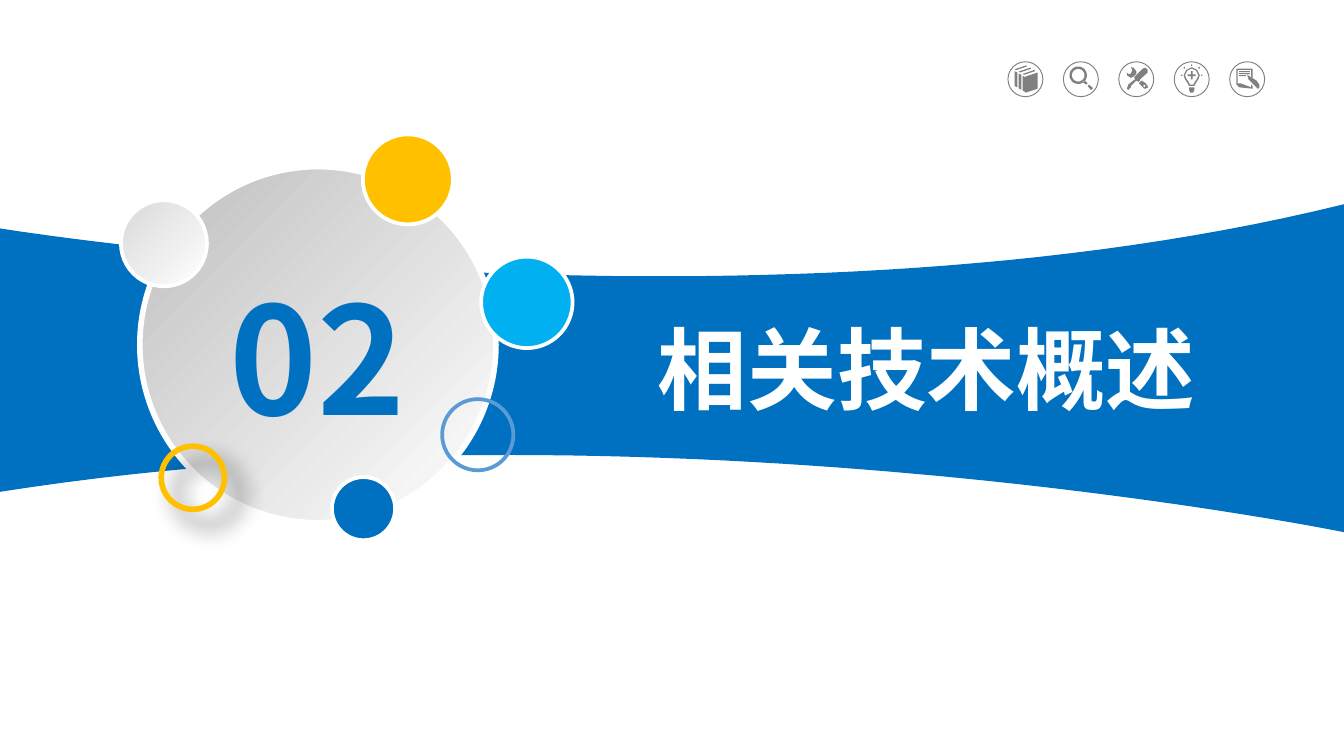
from math import cos, pi, sin

from lxml import etree
from pptx import Presentation
from pptx.dml.color import RGBColor
from pptx.enum import shapes, text
from pptx.oxml import ns
from pptx.util import Inches, Pt

WHITE = RGBColor(0xFF, 0xFF, 0xFF)
BLUE = RGBColor(0x00, 0x70, 0xC0)
CYAN = RGBColor(0x00, 0xB0, 0xF0)
SOFT_BLUE = RGBColor(0x5B, 0x9B, 0xD5)
GOLD = RGBColor(0xFF, 0xC0, 0x00)
SILVER = RGBColor(0xBF, 0xBF, 0xBF)
PALE = RGBColor(0xD9, 0xD9, 0xD9)
GREY = RGBColor(0x80, 0x80, 0x80)
FONT = "Noto Sans CJK SC"


def curve(start, control_1, control_2, end, steps=60):
    """Return points along a cubic curve."""
    points = []
    for step in range(steps + 1):
        t = step / steps
        weights = ((1 - t) ** 3, 3 * t * (1 - t) ** 2, 3 * t * t * (1 - t), t ** 3)
        points.append(tuple(
            sum(w * p[axis] for w, p in zip(weights, (start, control_1, control_2, end)))
            for axis in (0, 1)))
    return points


def circle(x, y, radius, steps=24):
    """Return points around a circle."""
    return [(x + radius * cos(2 * pi * i / steps), y + radius * sin(2 * pi * i / steps))
            for i in range(steps)]


def bar(left, top, right, bottom):
    """Return the corners of an upright rectangle."""
    return [(left, top), (right, top), (right, bottom), (left, bottom)]


def add_outline(slide, contours, left, top, color, unit=1):
    """Fill closed contours, given in units of inches from left and top."""
    paths = [[(Inches(left + x * unit), Inches(top + y * unit)) for x, y in contour]
             for contour in contours]
    builder = slide.shapes.build_freeform(*paths[0][0], scale=1)
    builder.add_line_segments(paths[0][1:])
    for path in paths[1:]:
        builder.move_to(*path[0])
        builder.add_line_segments(path[1:])
    outline = builder.convert_to_shape()
    outline.shadow.inherit = False
    outline.fill.solid()
    outline.fill.fore_color.rgb = color
    outline.line.fill.background()


def add_disc(slide, left, top, size, fill, line, width):
    """Add a circle with no fill, a plain fill or a two-colour gradient."""
    disc = slide.shapes.add_shape(shapes.MSO_SHAPE.OVAL, Inches(left), Inches(top),
                                  Inches(size), Inches(size))
    disc.shadow.inherit = False
    if fill is None:
        disc.fill.background()
    elif isinstance(fill, RGBColor):
        disc.fill.solid()
        disc.fill.fore_color.rgb = fill
    else:
        disc.fill.gradient()
        disc.fill.gradient_angle = 135
        for stop, color in zip(disc.fill.gradient_stops, fill):
            stop.color.rgb = color
    disc.line.color.rgb = line
    disc.line.width = Pt(width)
    return disc


def cast_shadow(disc):
    """Give a circle a soft shadow to the lower right."""
    effects = disc.element.spPr.find(ns.qn("a:effectLst"))
    shadow = etree.SubElement(effects, ns.qn("a:outerShdw"), blurRad=str(Pt(12)),
                              dist=str(Pt(12)), dir="2700000", algn="tl", rotWithShape="0")
    black = etree.SubElement(shadow, ns.qn("a:srgbClr"), val="000000")
    etree.SubElement(black, ns.qn("a:alpha"), val="60000")


def write(frame, words, size, color):
    """Write one bold centred line."""
    frame.vertical_anchor = text.MSO_ANCHOR.MIDDLE
    paragraph = frame.paragraphs[0]
    paragraph.alignment = text.PP_ALIGN.CENTER
    run = paragraph.add_run()
    run.text = words
    run.font.size = Pt(size)
    run.font.bold = True
    run.font.name = FONT
    run.font.color.rgb = color
    etree.SubElement(run.font._element, ns.qn("a:ea"), typeface=FONT)


def add_band(slide, left, top, width):
    """Add the blue band that narrows in the middle."""
    upper = curve((0, 0.18), (0, 0.18), (width * 0.56, 1.09), (width, 0))
    lower = curve((width, 2.44), (width, 2.44), (width * 0.48, 1.38), (0, 2.14))
    add_outline(slide, [upper + lower], left, top, BLUE)


def add_number_badge(slide, left, top, number):
    """Add the big disc with its small circles and the section number."""
    add_disc(slide, left + 0.14, top + 0.24, 2.65, (WHITE, SILVER), WHITE, 3)
    add_disc(slide, left + 1.8, top, 0.67, GOLD, WHITE, 2)
    add_disc(slide, left + 2.68, top + 0.91, 0.68, CYAN, WHITE, 2)
    add_disc(slide, left + 2.39, top + 1.97, 0.53, None, SOFT_BLUE, 2)
    cast_shadow(add_disc(slide, left + 0.3, top + 2.32, 0.47, None, GOLD, 3))
    add_disc(slide, left + 1.57, top + 2.55, 0.47, BLUE, WHITE, 2)
    add_disc(slide, left, top + 0.49, 0.64, (WHITE, PALE), WHITE, 2)
    box = slide.shapes.add_textbox(Inches(left + 0.67), Inches(top + 0.92),
                                   Inches(1.59), Inches(1.45))
    box.text_frame.word_wrap = False
    write(box.text_frame, number, 80, BLUE)


def add_title(slide, left, top, width, height, words):
    """Place the title in front of the band."""
    title = slide.shapes.title
    title.left, title.top = Inches(left), Inches(top)
    title.width, title.height = Inches(width), Inches(height)
    title.text_frame.word_wrap = True
    write(title.text_frame, words, 48, WHITE)
    title.element.getparent().append(title.element)


def add_icons(slide, left, top, width, size):
    """Spread the ringed icons evenly over the width."""
    books = [[(13, 11), (22, 8), (22, 20), (13, 23)]]
    for i in range(3):
        x, y = 5 + 3 * i, 5.5 + 1.75 * i
        books.append([(x, y), (x + 9, y - 3), (x + 9, y - 2), (x + 1, y + 0.7)])
        books.append([(x, y + 1.5), (x + 2, y + 2.5), (x + 2, y + 13.5), (x, y + 12.5)])
    magnifier = [circle(11, 10, 6.5), circle(11, 10, 4.7),
                 [(14, 15), (16, 14), (18, 16), (17, 17)],
                 [(18, 18), (19, 17), (22, 19.5), (20.5, 21)]]
    tools = [[(6, 20), (7, 21), (9, 19), (9, 18), (13, 14), (15, 15), (16, 13), (21.5, 8),
              (21.5, 6), (20, 4.5), (18, 5), (13, 10), (11.5, 11.5), (12, 13), (7, 17)],
             [(9, 4), (10, 6), (9, 9), (7, 9), (6, 8), (6, 10), (9, 12), (11, 11),
              (13, 9), (13, 7), (11, 4.5)],
             [(17, 14), (20, 16), (22, 19), (20, 20), (19, 20), (15, 16)],
             circle(19, 18, 0.8)]
    bulb = [[(13, 4), (9, 6), (7, 10), (8, 13), (10, 16), (11, 18), (15, 18), (16, 16),
             (18, 13), (19, 10), (17, 6)],
            [(13, 5), (9.7, 6.6), (8, 10), (9, 12.5), (11, 15.5), (11.7, 17), (14.3, 17),
             (15, 15.5), (17, 12.5), (18, 10), (16.3, 6.6)],
            [(12.4, 7), (13.6, 7), (13.6, 9.4), (16, 9.4), (16, 10.6), (13.6, 10.6),
             (13.6, 13), (12.4, 13), (12.4, 10.6), (10, 10.6), (10, 9.4), (12.4, 9.4)],
            [(11, 19), (15, 19), (15, 21), (14, 23), (12, 23), (11, 21)],
            bar(12.6, 2, 13.4, 3), bar(5, 9.6, 6, 10.4), bar(20, 9.6, 21, 10.4),
            circle(7.5, 4.5, 0.6), circle(18.5, 4.5, 0.6)]
    note = [[(5, 5), (17, 5), (17, 12), (16, 11), (16, 6), (6, 6), (6, 16), (8, 16),
             (16, 19), (16, 17), (17, 18), (17, 20), (7, 19), (5, 17)],
            bar(7, 7, 15, 7.7), bar(7, 8.5, 15, 9.2), bar(7, 10, 12, 10.7),
            [(13, 9.5), (15, 11), (20, 14), (22, 17), (22, 19.5), (21, 20), (14, 13)]]
    icons = (books, magnifier, tools, bulb, note)
    gap = (width - size) / (len(icons) - 1)
    for i, glyph in enumerate(icons):
        x = left + i * gap
        add_disc(slide, x, top, size, None, GREY, 0.5)
        add_outline(slide, glyph, x, top, GREY, unit=0.01)


def main():
    """Build the section slide."""
    deck = Presentation()
    deck.slide_width = Inches(10)
    deck.slide_height = deck.slide_width * 9 // 16
    slide = deck.slides.add_slide(deck.slide_layouts[5])
    add_band(slide, 0, 1.52, 10)
    add_number_badge(slide, 0.9, 1, "02")
    add_title(slide, 3.84, 2.28, 6.11, 0.91, "相关技术概述")
    add_icons(slide, 7.5, 0.46, 1.91, 0.26)
    deck.save("out.pptx")


if __name__ == "__main__":
    main()
